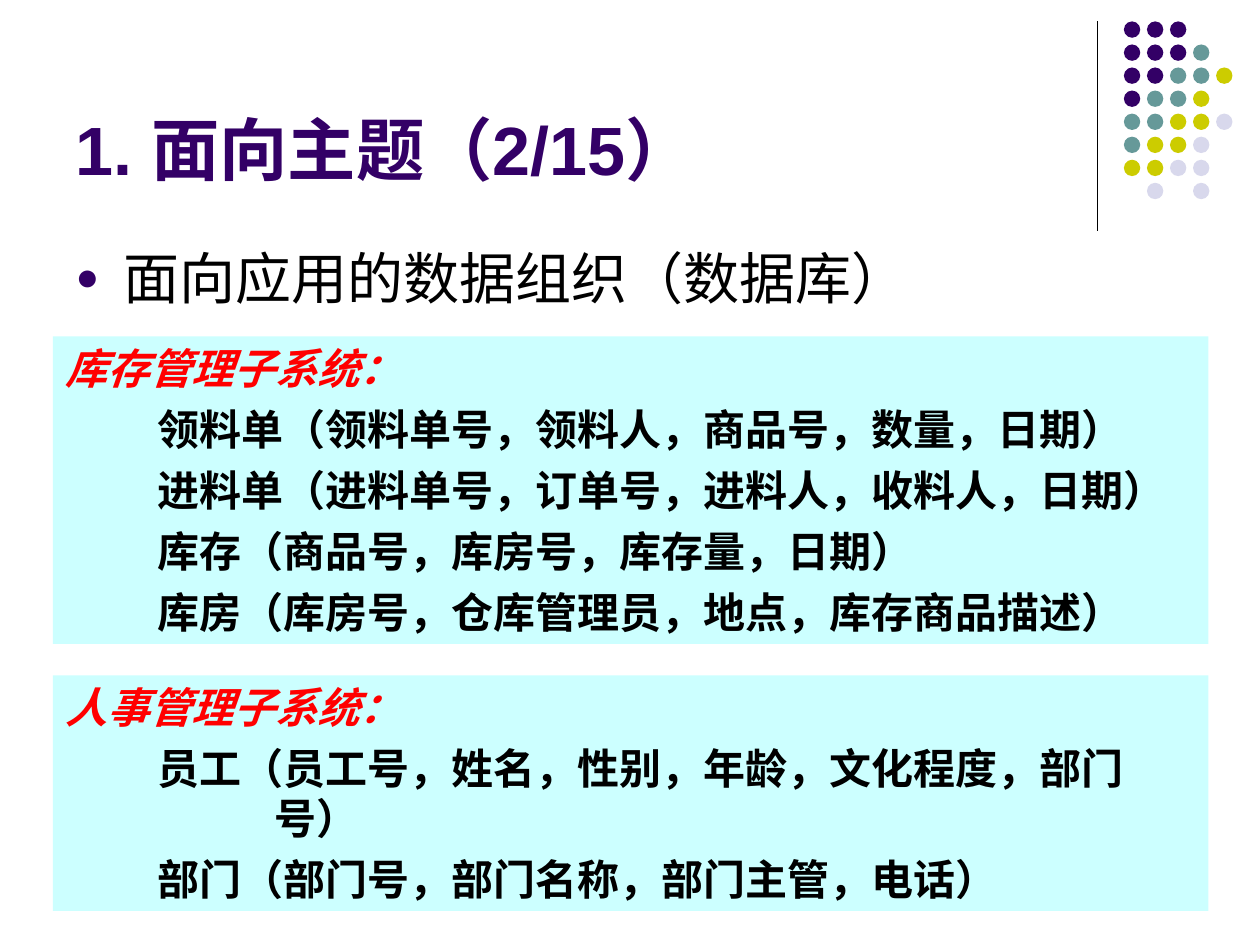
from dataclasses import dataclass

from lxml import etree
from pptx import Presentation
from pptx import util as u
from pptx.dml.color import RGBColor
from pptx.enum import shapes, text
from pptx.oxml import ns

PURPLE, BLACK, RED, CYAN = "330066", "000000", "FF0000", "CCFFFF"
DOT_COLOURS = {"P": PURPLE, "T": "669999", "Y": "CCCC00", "L": "D8D8EC"}
DOT_ROWS = ("PPP", "PPPT", "PPTTY", "PTTY", "TTYYL", "TYYL", "YYLL", " L L")
DOT_LEFT, DOT_TOP, DOT_PITCH, DOT_SIZE = 8.92, 0.17, 0.183, 0.13


@dataclass
class Panel:
    top: float
    height: float
    heading: str
    relations: tuple[str, ...]


PANELS = (
    Panel(2.67, 2.44, "库存管理子系统：", (
        "领料单（领料单号，领料人，商品号，数量，日期）",
        "进料单（进料单号，订单号，进料人，收料人，日期）",
        "库存（商品号，库房号，库存量，日期）",
        "库房（库房号，仓库管理员，地点，库存商品描述）",
    )),
    Panel(5.36, 1.87, "人事管理子系统：", (
        "员工（员工号，姓名，性别，年龄，文化程度，部门号）",
        "部门（部门号，部门名称，部门主管，电话）",
    )),
)


def colour(value: str) -> RGBColor:
    return RGBColor.from_string(value)


def place(shape, left: float, top: float, width: float, height: float) -> None:
    shape.left, shape.top = u.Inches(left), u.Inches(top)
    shape.width, shape.height = u.Inches(width), u.Inches(height)


def format_runs(paragraph, name: str, size: float, value: str,
                bold: bool = False, italic: bool = False) -> None:
    for run in paragraph.runs:
        font = run.font
        font.name, font.size = name, u.Pt(size)
        font.bold, font.italic = bold, italic
        font.color.rgb = colour(value)


def set_indent(paragraph, left: float, first: float) -> None:
    properties = paragraph._p.get_or_add_pPr()
    properties.set("marL", str(u.Inches(left)))
    properties.set("indent", str(u.Inches(first)))


def add_bullet(paragraph, character: str, value: str, percent: int) -> None:
    properties = paragraph._p.get_or_add_pPr()
    bullet_colour = etree.SubElement(properties, ns.qn("a:buClr"))
    etree.SubElement(bullet_colour, ns.qn("a:srgbClr"), val=value)
    etree.SubElement(properties, ns.qn("a:buSzPct"), val=str(percent * 1000))
    etree.SubElement(properties, ns.qn("a:buChar"), char=character)


def add_filled(slide, kind, fill: str, left: float, top: float,
               width: float, height: float):
    shape = slide.shapes.add_shape(kind, u.Inches(left), u.Inches(top),
                                   u.Inches(width), u.Inches(height))
    shape.shadow.inherit = False
    shape.fill.solid()
    shape.fill.fore_color.rgb = colour(fill)
    shape.line.fill.background()
    return shape


def add_corner_decoration(slide) -> None:
    rule = slide.shapes.add_connector(
        shapes.MSO_CONNECTOR.STRAIGHT, u.Inches(8.71), u.Inches(0.17),
        u.Inches(8.71), u.Inches(1.83))
    rule.line.color.rgb = colour(BLACK)
    rule.line.width = u.Pt(0.75)
    etree.SubElement(rule._element.spPr, ns.qn("a:effectLst"))
    for row, codes in enumerate(DOT_ROWS):
        for column, code in enumerate(codes):
            if code in DOT_COLOURS:
                add_filled(slide, shapes.MSO_SHAPE.OVAL, DOT_COLOURS[code],
                           DOT_LEFT + column * DOT_PITCH,
                           DOT_TOP + row * DOT_PITCH, DOT_SIZE, DOT_SIZE)


def add_panel(slide, panel: Panel) -> None:
    shape = add_filled(slide, shapes.MSO_SHAPE.RECTANGLE, CYAN,
                       0.42, panel.top, 9.17, panel.height)
    frame = shape.text_frame
    frame.word_wrap = True
    frame.vertical_anchor = text.MSO_ANCHOR.TOP
    frame.text = "\n".join((panel.heading, *panel.relations))
    for index, paragraph in enumerate(frame.paragraphs):
        heading = index == 0
        paragraph.alignment = text.PP_ALIGN.LEFT
        paragraph.space_before = u.Pt(6)
        if not heading:
            paragraph.level = 1
            set_indent(paragraph, 1.66, -0.93)
        format_runs(paragraph, "Times New Roman", 24,
                    RED if heading else BLACK, bold=True, italic=heading)


def main() -> None:
    presentation = Presentation()
    presentation.slide_width, presentation.slide_height = u.Inches(10), u.Inches(7.5)
    slide = presentation.slides.add_slide(presentation.slide_layouts[1])

    add_corner_decoration(slide)

    # Title
    title = slide.shapes.title
    place(title, 0.5, 0.13, 8.25, 1.42)
    frame = title.text_frame
    frame.text = "1. 面向主题（2/15）"
    frame.auto_size = text.MSO_AUTO_SIZE.NONE
    frame.vertical_anchor = text.MSO_ANCHOR.BOTTOM
    frame.paragraphs[0].alignment = text.PP_ALIGN.LEFT
    format_runs(frame.paragraphs[0], "Arial", 39, PURPLE, bold=True)

    # Bulleted topic
    body = slide.placeholders[1]
    place(body, 0.5, 1.88, 8.44, 0.77)
    frame = body.text_frame
    frame.text = "面向应用的数据组织（数据库）"
    frame.auto_size = text.MSO_AUTO_SIZE.NONE
    topic = frame.paragraphs[0]
    topic.space_before = u.Pt(8)
    set_indent(topic, 0.38, -0.38)
    add_bullet(topic, "●", PURPLE, 70)
    format_runs(topic, "Arial", 32, BLACK)

    # Subsystem panels
    for panel in PANELS:
        add_panel(slide, panel)

    presentation.save("out.pptx")


if __name__ == "__main__":
    main()
